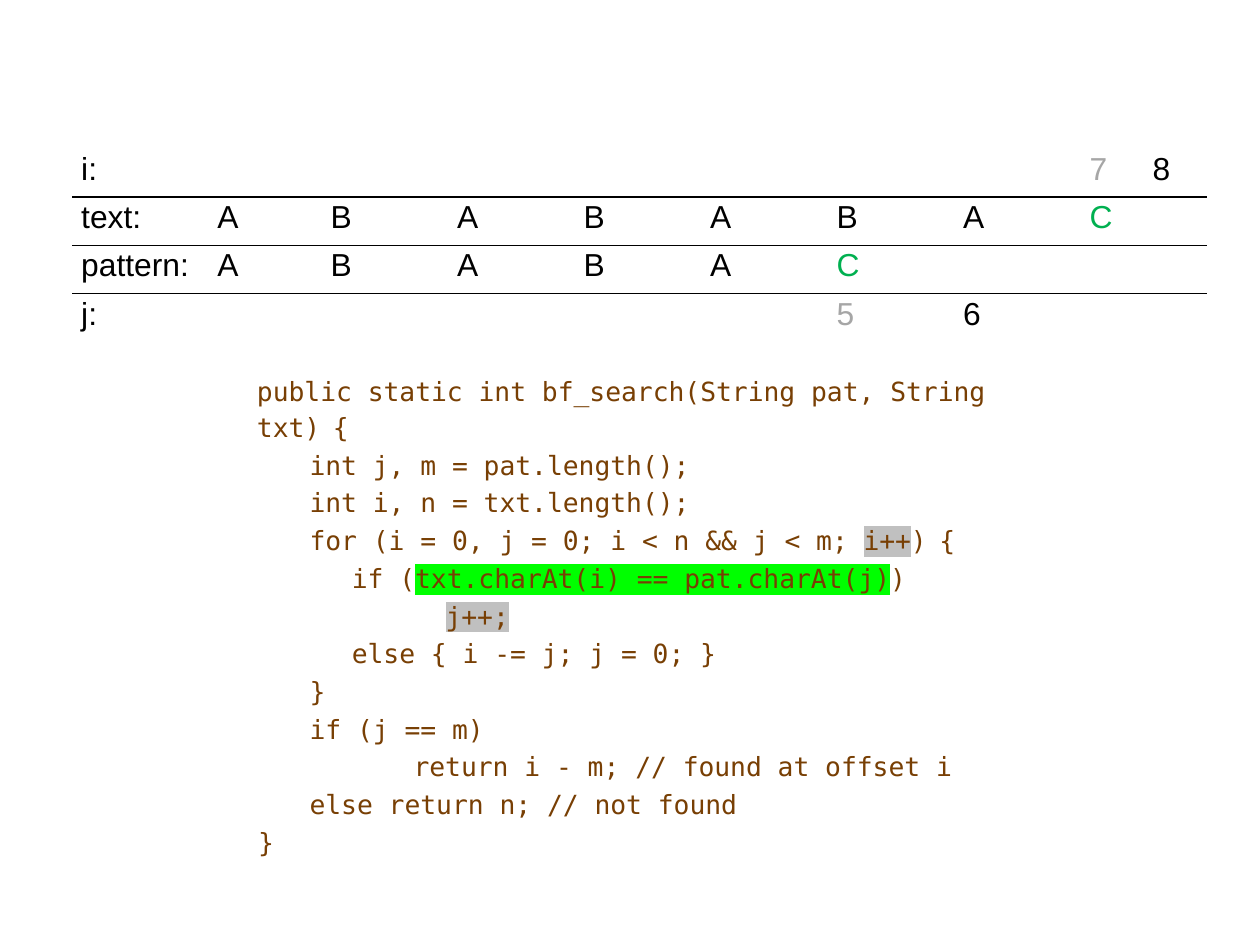
from dataclasses import dataclass

from lxml.etree import SubElement as add_element
from pptx import Presentation
from pptx.dml.color import RGBColor as Color
from pptx.enum.text import MSO_ANCHOR as Anchor
from pptx.oxml import parse_xml
from pptx.oxml.ns import qn
from pptx.util import Cm, Inches, Pt

DRAWING = 'xmlns:a="http://schemas.openxmlformats.org/drawingml/2006/main"'
PLAIN_TABLE = "{2D5ABB26-0587-4C30-8999-92F81FD0307C}"


@dataclass(frozen=True)
class Theme:
    ink: str = "000000"
    past: str = "A6A6A6"
    match: str = "00B050"
    code: str = "783F04"
    step_mark: str = "C0C0C0"
    test_mark: str = "00FF00"
    table_font: str = "Arial"
    code_font: str = "DejaVu Sans Mono"
    table_size: float = 20
    code_size: float = 16.54
    gap_size: float = 13.2


class SlideBuilder:
    """Draws styled elements on one slide, measured in hundredths of its size."""

    def __init__(self, deck, theme):
        self.theme = theme
        self.column = deck.slide_width / 100
        self.row = deck.slide_height / 100
        self.page = deck.slides.add_slide(deck.slide_layouts[6])

    def place(self, left, top, width, height):
        return (round(left * self.column), round(top * self.row),
                round(width * self.column), round(height * self.row))

    def style(self, para, name, size, color, spacing):
        para.line_spacing = spacing
        para.font.name = name
        para.font.size = Pt(size)
        para.font.color.rgb = Color.from_string(color)

    def rule(self, cell, side):
        cell._tc.get_or_add_tcPr().insert(0, parse_xml(
            f'<a:{side} {DRAWING} w="12700"><a:solidFill>'
            f'<a:srgbClr val="{self.theme.ink}"/></a:solidFill></a:{side}>'))

    def trace(self, left, top, widths, row_height, rows):
        frame = self.page.shapes.add_table(
            len(rows), len(widths),
            *self.place(left, top, sum(widths), row_height * len(rows)))
        table = frame.table
        table.first_row = table.horz_banding = False
        table._tbl.tblPr.find(qn("a:tableStyleId")).text = PLAIN_TABLE
        for column, width in zip(table.columns, widths):
            column.width = round(width * self.column)
        for row_index, entries in enumerate(rows):
            for column_index in range(len(widths)):
                cell = table.cell(row_index, column_index)
                cell.fill.background()
                cell.margin_left = cell.margin_right = Inches(0.08)
                cell.margin_top = cell.margin_bottom = Inches(0.04)
                cell.vertical_anchor = Anchor.MIDDLE
                if row_index < len(rows) - 1:
                    self.rule(cell, "lnB")
                if row_index > 0:
                    self.rule(cell, "lnT")
                if column_index in entries:
                    text, color = entries[column_index]
                    para = cell.text_frame.paragraphs[0]
                    para.text = text
                    self.style(para, self.theme.table_font,
                               self.theme.table_size, color, 0.69)

    def code(self, left, top, width, height, lines):
        box = self.page.shapes.add_textbox(*self.place(left, top, width, height))
        frame = box.text_frame
        frame.word_wrap = True
        frame.margin_left = frame.margin_right = Inches(0.09)
        frame.margin_top = frame.margin_bottom = Inches(0.09)
        for index, (indent, *spans) in enumerate(lines):
            para = frame.add_paragraph() if index else frame.paragraphs[0]
            para._p.get_or_add_pPr().set("marL", str(Inches(indent)))
            self.style(para, self.theme.code_font, self.theme.code_size,
                       self.theme.code, 1.15)
            if index:
                para.space_before = Pt(0.9)
            for part in spans:
                text, mark = part if isinstance(part, tuple) else (part, None)
                span = para.add_run()
                span.text = text
                if text == " ":
                    span.font.size = Pt(self.theme.gap_size)
                if mark:
                    highlight = add_element(span._r.get_or_add_rPr(), qn("a:highlight"))
                    add_element(highlight, qn("a:srgbClr"), val=mark)


def letters(label, word, theme):
    cells = {0: (label, theme.ink)}
    cells.update({index: (letter, theme.match if letter == "C" else theme.ink)
                  for index, letter in enumerate(word, 1)})
    return cells


def main():
    deck = Presentation()
    deck.slide_width, deck.slide_height = Cm(28), Cm(21)
    theme = Theme()
    slide = SlideBuilder(deck, theme)

    slide.code(19.58, 38.09, 62.34, 49.46, [
        (0, "public static int bf_search(String pat, String txt)", " ", "{"),
        (0.46, "int j, m = pat.length();"),
        (0.46, "int i, n = txt.length();"),
        (0.46, "for (i = 0, j = 0; i < n && j < m; ",
         ("i++", theme.step_mark), ")", " ", "{"),
        (0.83, "if (", ("txt.charAt(i) == pat.charAt(j)", theme.test_mark), ")"),
        (1.65, ("j++;", theme.step_mark)),
        (0.83, "else { i -= j; j = 0; }"),
        (0.46, "}"),
        (0.46, "if (j == m)"),
        (1.37, "return i - m; // found at offset i"),
        (0.46, "else return n; // not found"),
        (0.01, "}"),
    ])
    slide.trace(5.72, 15.72, [10.8, 9] + [10.04] * 6 + [5] * 2, 5.12, [
        {0: ("i:", theme.ink), 8: ("7", theme.past), 9: ("8", theme.ink)},
        letters("text:", "ABABABAC", theme),
        letters("pattern:", "ABABAC", theme),
        {0: ("j:", theme.ink), 6: ("5", theme.past), 7: ("6", theme.ink)},
    ])
    deck.save("out.pptx")


if __name__ == "__main__":
    main()
